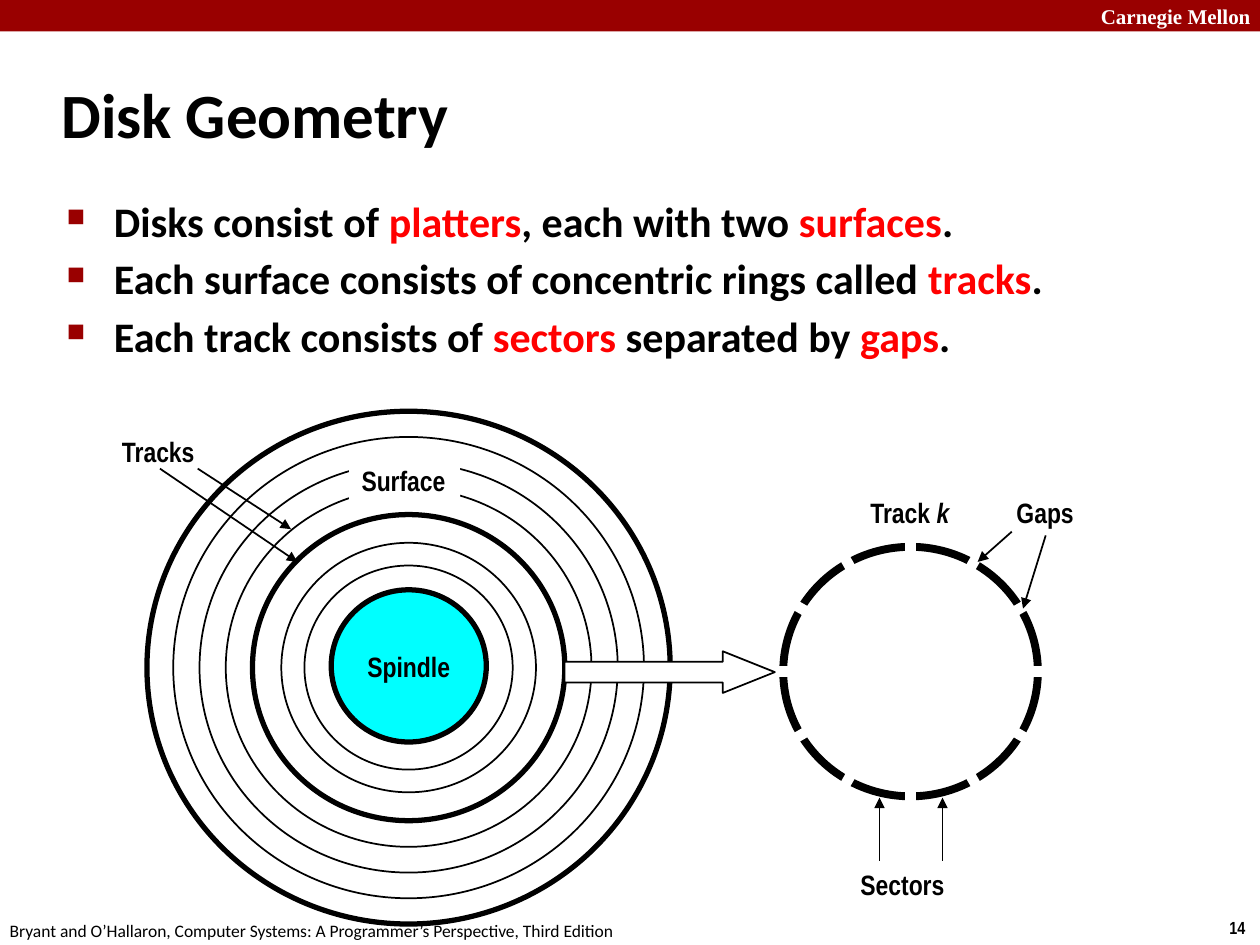
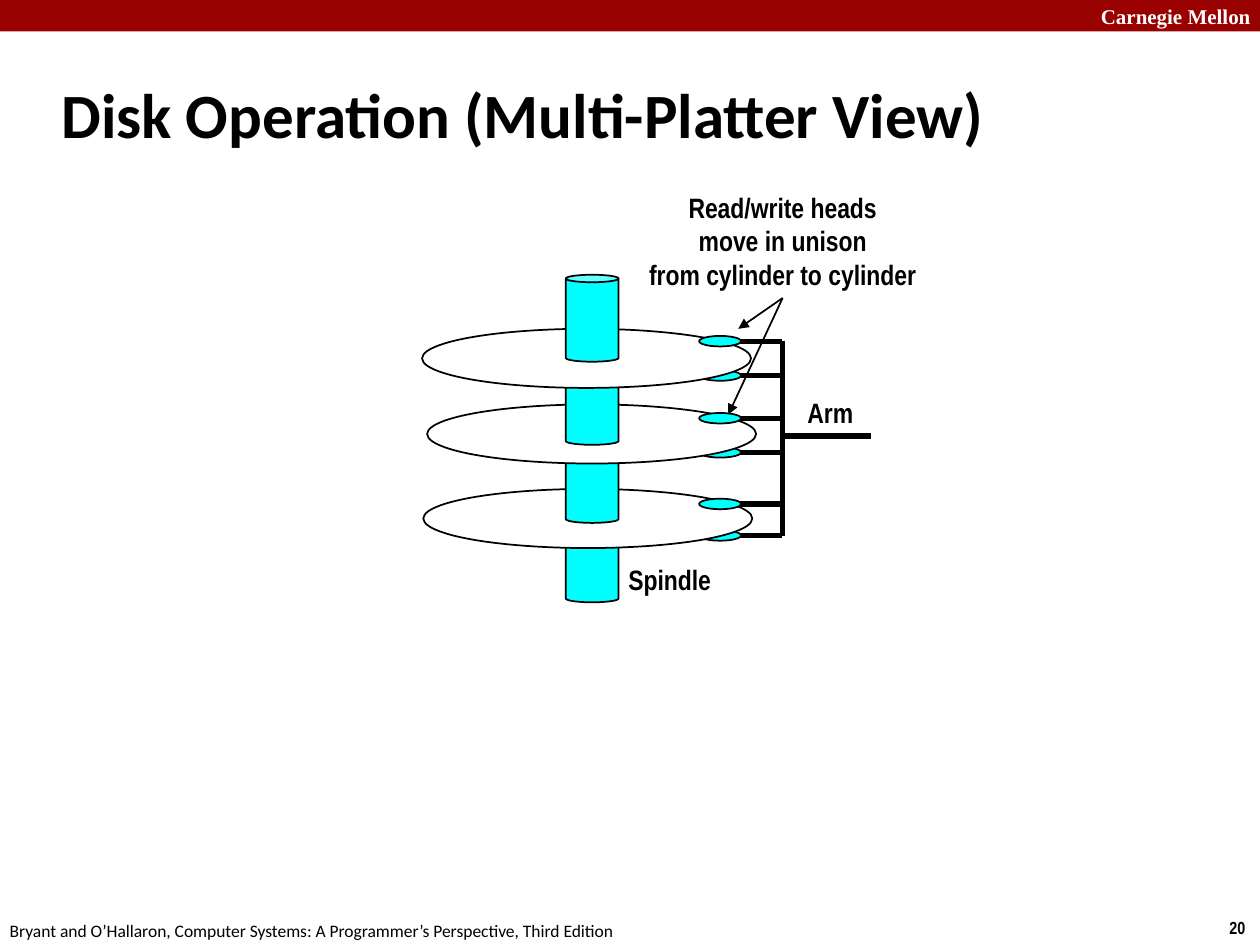
"""Build two lecture slides on disk geometry and multi-platter operation."""
from dataclasses import dataclass
from math import cos, radians, sin

from lxml.etree import SubElement
from pptx import Presentation
from pptx.dml.color import RGBColor as RGB
from pptx.enum.shapes import MSO_CONNECTOR as LINE, MSO_SHAPE as SHAPE
from pptx.enum.text import MSO_ANCHOR as ANCHOR, PP_ALIGN as ALIGN
from pptx.oxml.ns import qn
from pptx.util import Pt


@dataclass(frozen=True)
class Theme:
    black: RGB = RGB(0, 0, 0)
    white: RGB = RGB(255, 255, 255)
    crimson: RGB = RGB(0x99, 0, 0)
    red: RGB = RGB(255, 0, 0)
    cyan: RGB = RGB(0, 255, 255)
    text_font: str = "Calibri"
    label_font: str = "Arial Narrow"
    band_font: str = "Times New Roman"
    title_size: int = 36
    body_size: int = 24
    label_size: int = 16
    band_size: int = 12
    footer_size: int = 10
    thin: float = 1
    thick: float = 3
    ring: float = 4.5
    gap: float = 6


theme = Theme()


def put_text(slide, text, box=None, host=None, font=theme.label_font, size=theme.label_size,
             bold=True, color=theme.black, align=ALIGN.LEFT, anchor=ANCHOR.MIDDLE,
             wrap=False, bullet=None, space=0, accent=None, accent_italic=False):
    """Write lines of text, with *starred* parts accented, in a new box or a host shape."""
    host = host or slide.shapes.add_textbox(*map(Pt, box))
    frame = host.text_frame
    frame.word_wrap = wrap
    frame.vertical_anchor = anchor
    for number, line in enumerate(text.split("\n")):
        paragraph = frame.add_paragraph() if number else frame.paragraphs[0]
        paragraph.alignment = align
        if bullet:
            props = paragraph._p.get_or_add_pPr()
            props.set("marL", str(Pt(27)))
            props.set("indent", str(-Pt(27)))
            SubElement(SubElement(props, qn("a:buClr")), qn("a:srgbClr"), val=str(theme.crimson))
            SubElement(props, qn("a:buSzPct"), val="60000")
            SubElement(props, qn("a:buChar"), char=bullet)
        if number and space:
            paragraph.space_before = Pt(space)
        for part, words in enumerate(line.split("*")):
            if not words:
                continue
            run = paragraph.add_run()
            run.text = words
            accented = part % 2 == 1
            run.font.name, run.font.size, run.font.bold = font, Pt(size), bold
            run.font.color.rgb = accent if accented and accent else color
            if accented and accent_italic:
                run.font.italic = True
    return host


def draw(slide, kind, box, fill=None, line=theme.black, width=theme.thin, arrow=False):
    """Draw a preset shape (left, top, width, height) or a line (x1, y1, x2, y2)."""
    if isinstance(kind, LINE):
        item = slide.shapes.add_connector(kind, *map(Pt, box))
        SubElement(item._element.spPr, qn("a:effectLst"))
    else:
        item = slide.shapes.add_shape(kind, *map(Pt, box))
        item.shadow.inherit = False
        if fill is None:
            item.fill.background()
        else:
            item.fill.solid()
            item.fill.fore_color.rgb = fill
    if line is None:
        item.line.fill.background()
    else:
        item.line.color.rgb = line
        item.line.width = Pt(width)
    if arrow:
        SubElement(item._element.spPr.get_or_add_ln(), qn("a:tailEnd"), type="triangle")
    return item


deck = Presentation()
deck.slide_width, deck.slide_height = Pt(720), Pt(540)

slides = []
for title, page in (("Disk Geometry", "14"), ("Disk Operation (Multi-Platter View)", "20")):
    slide = deck.slides.add_slide(deck.slide_layouts[6])
    draw(slide, SHAPE.RECTANGLE, (0, 0, 720, 18), fill=theme.crimson, line=None)
    put_text(slide, "Carnegie Mellon", (622, -2, 103, 22), font=theme.band_font,
             size=theme.band_size, color=theme.white, wrap=True)
    put_text(slide, page, (695.5, 520.5, 24.5, 19.5), size=theme.footer_size)
    put_text(slide, "Bryant and O’Hallaron, Computer Systems: A Programmer’s Perspective, Third Edition",
             (-1.5, 522, 366, 19.5), font=theme.text_font, size=theme.footer_size, bold=False)
    put_text(slide, title, (28, 34.5, 598, 60), font=theme.text_font,
             size=theme.title_size, wrap=True)
    slides.append(slide)
geometry, operation = slides

put_text(geometry,
         "Disks consist of *platters*, each with two *surfaces*.\n"
         "Each surface consists of concentric rings called *tracks*.\n"
         "Each track consists of *sectors* separated by *gaps*.",
         (31, 108, 622, 392), font=theme.text_font, size=theme.body_size, anchor=ANCHOR.TOP,
         wrap=True, bullet="■", space=4.2, accent=theme.red)

disk_x, disk_y, flatness = 233.5, 381.5, 0.98
for track_width, weight in ((299, theme.thick), (269, theme.thin), (239, theme.thin),
                            (209, theme.thin), (178.5, theme.thick),
                            (145.5, theme.thin), (119, theme.thin)):
    track_height = track_width * flatness
    draw(geometry, SHAPE.OVAL, (disk_x - track_width / 2, disk_y - track_height / 2,
                                track_width, track_height), width=weight)
spindle = draw(geometry, SHAPE.OVAL, (189.3, 337, 88.6, 87), fill=theme.cyan, width=theme.thick)
put_text(geometry, "Spindle", host=spindle, align=ALIGN.CENTER)
surface = draw(geometry, SHAPE.RECTANGLE, (199.5, 261.4, 63.4, 26.6),
               fill=theme.white, line=None)
put_text(geometry, "Surface", host=surface)

ring_x, ring_y, ring_width, gap_reach = 520.3, 383.8, 145.5, 83
ring_height = ring_width * flatness
draw(geometry, SHAPE.OVAL, (ring_x - ring_width / 2, ring_y - ring_height / 2,
                            ring_width, ring_height), width=theme.ring)
for angle in range(0, 360, 30):
    draw(geometry, LINE.STRAIGHT,
         (ring_x, ring_y, ring_x + gap_reach * cos(radians(angle)),
          ring_y + gap_reach * sin(radians(angle))), line=theme.white, width=theme.gap)
enlarge = draw(geometry, SHAPE.RIGHT_ARROW, (322.6, 372.2, 120.2, 23.8), fill=theme.white)
enlarge.adjustments[0], enlarge.adjustments[1] = 0.5, 1.25

put_text(geometry, "Tracks", (62.6, 244.8, 56.9, 26.6))
put_text(geometry, "Track *k*", (490.3, 279.4, 62.6, 26.6), accent_italic=True)
put_text(geometry, "Sectors", (484.6, 491.8, 63.4, 26.6))
gaps = put_text(geometry, "Gaps", (573.8, 279.4, 47.5, 26.6))
for pointer in ((91.4, 267.8, 169.9, 321.1), (113, 267.8, 166.3, 302.4),
                (502.6, 491.8, 502.6, 455.8), (538.6, 491.8, 538.6, 455.8),
                (578.2, 303.8, 558.7, 321.1)):
    draw(geometry, LINE.STRAIGHT, pointer, arrow=True)
gap_pointer = draw(geometry, LINE.STRAIGHT, (597.5, 306, 584.6, 347.8), arrow=True)
gap_pointer.begin_connect(gaps, 2)

arm_x, head_x, head_width, head_height = 447, 399.5, 24, 6
platters = ((241.9, 279.4), (244.1, 231.1), (241.2, 187.9))
spindle_tops = (294.5, 249.1, 204.5, 157)
lower_heads, upper_heads = (306, 258.5, 214.6), (288, 239, 195)

for heads in (lower_heads, upper_heads):
    for head_y in heads:
        draw(operation, LINE.STRAIGHT, (arm_x, head_y, 411, head_y), width=theme.thick)
        draw(operation, SHAPE.OVAL, (head_x, head_y - head_height / 2, head_width, head_height),
             fill=theme.cyan)
    if heads is lower_heads:
        for level, spindle_top in enumerate(spindle_tops):
            section = draw(operation, SHAPE.CAN, (323.3, spindle_top, 30.2, 49.7),
                           fill=theme.cyan)
            section.adjustments[0] = 0.142
            for left, top in platters[level:level + 1]:
                draw(operation, SHAPE.OVAL, (left, top, 188, 33.8), fill=theme.white)

for arm_part in ((arm_x, upper_heads[-1], arm_x, lower_heads[0]), (arm_x, 249.1, 497.5, 249.1)):
    draw(operation, LINE.STRAIGHT, arm_part, width=theme.thick)
put_text(operation, "Arm", (454.3, 222.5, 41, 26.6))
put_text(operation, "Spindle", (351.4, 317.5, 62.6, 26.6), align=ALIGN.CENTER)
heads_note = put_text(operation, "Read/write heads\nmove in unison\nfrom cylinder to cylinder",
                      (360.5, 104.8, 173.5, 65.5), align=ALIGN.CENTER, wrap=True)
for tip_x, tip_y in ((421.9, 187.9), (416.2, 236.9)):
    head_pointer = draw(operation, LINE.STRAIGHT, (arm_x, 170.5, tip_x, tip_y), arrow=True)
    head_pointer.begin_connect(heads_note, 2)

deck.save("out.pptx")
